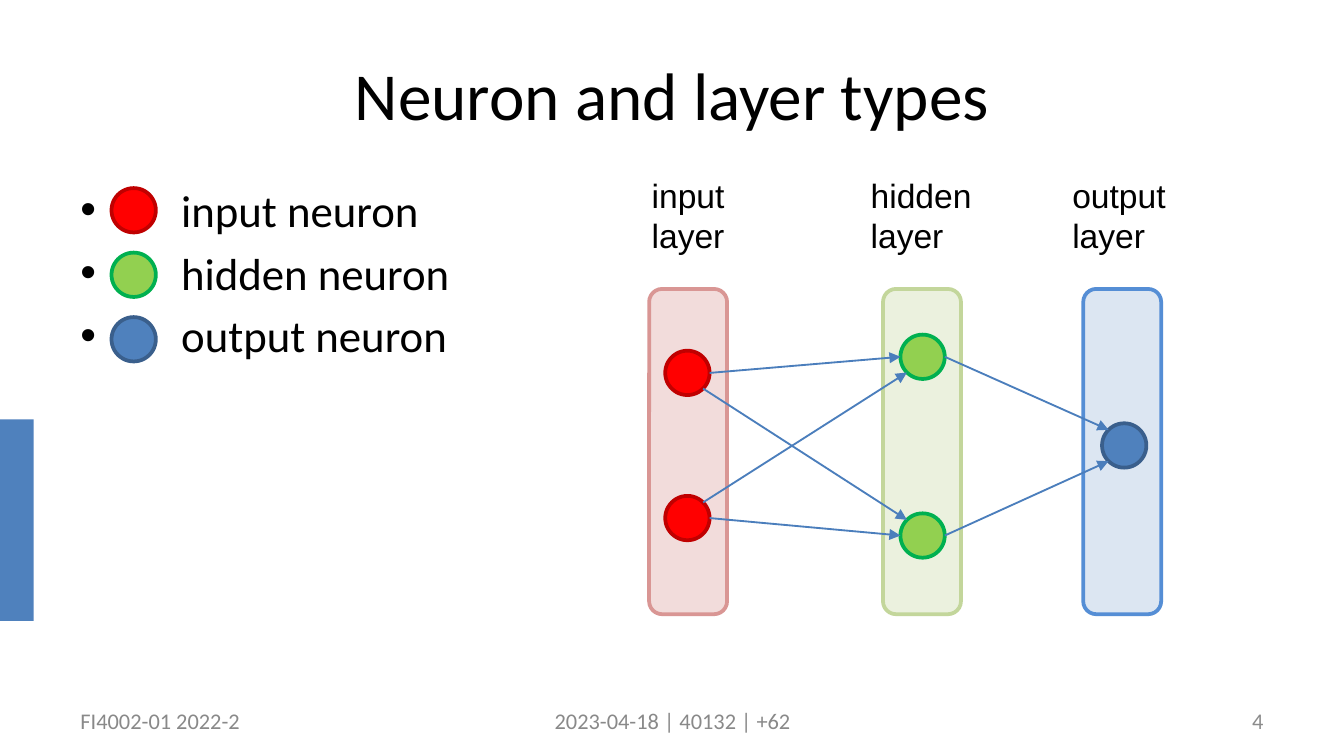
"""Build a slide that shows the neuron and layer types of a small network."""
import math
from dataclasses import dataclass

import lxml.etree
import pptx
import pptx.dml.color
import pptx.enum.shapes
import pptx.enum.text
import pptx.oxml.ns
import pptx.util

Inches = pptx.util.Inches
Shape = pptx.enum.shapes.MSO_SHAPE
Align = pptx.enum.text.PP_ALIGN
Anchor = pptx.enum.text.MSO_ANCHOR
WIDTH = 10
HEIGHT = WIDTH * 9 / 16
SIZE = 0.33
BLACK, GRAY = "000000", "898989"


@dataclass
class Style:
    fill: str
    line: str


@dataclass
class Layer:
    label: str
    text_left: float
    text_width: float
    left: float
    style: Style


@dataclass
class Neuron:
    left: float
    top: float
    style: Style


@dataclass
class Link:
    start: Neuron
    leave: int
    end: Neuron
    enter: int


@dataclass
class Note:
    text: str
    box: tuple
    align: Align
    size: int = 12
    color: str = GRAY
    font: str = "Calibri"
    anchor: Anchor = Anchor.MIDDLE


RED = Style("FF0000", "C00000")
GREEN = Style("92D050", "00B050")
BLUE = Style("4F81BD", "3A5F8C")

LAYERS = [
    Layer("output layer", 7.88, 0.92, 8.06, Style("DCE6F2", "558ED5")),
    Layer("hidden layer", 6.38, 1, 6.57, Style("EBF1DE", "C3D69B")),
    Layer("input layer", 4.75, 0.75, 4.83, Style("F2DCDB", "D99694")),
]
LEGEND = {"input neuron": RED, "hidden neuron": GREEN, "output neuron": BLUE}
IN_TOP, IN_LOW = Neuron(4.95, 2.61, RED), Neuron(4.95, 3.69, RED)
HID_TOP, HID_LOW = Neuron(6.7, 2.49, GREEN), Neuron(6.7, 3.82, GREEN)
OUT = Neuron(8.2, 3.15, BLUE)
LINKS = [
    Link(IN_TOP, 0, HID_TOP, 180),
    Link(IN_TOP, 45, HID_LOW, 225),
    Link(IN_LOW, -45, HID_TOP, 135),
    Link(IN_LOW, 0, HID_LOW, 180),
    Link(HID_TOP, 0, OUT, 225),
    Link(HID_LOW, 0, OUT, 135),
]
NOTES = [
    Note("Neuron and layer types", (0.5, 0.23, 9, 0.94), Align.CENTER, 36, BLACK),
    Note("FI4002-01 2022-2", (0.5, 5.21, 2.58, 0.3), Align.LEFT),
    Note("2023-04-18 | 40132 | +62", (3.42, 5.21, 3.17, 0.3), Align.CENTER),
    Note("4", (7.17, 5.21, 2.33, 0.3), Align.RIGHT, color="8C8C8C"),
]


def paint(target, color: str) -> None:
    target.rgb = pptx.dml.color.RGBColor.from_string(color)


def add_tag(parent, tag: str, **attrs: str):
    return lxml.etree.SubElement(parent, pptx.oxml.ns.qn(tag), **attrs)


def draw_shape(slide, kind: Shape, box: tuple, style: Style) -> None:
    shape = slide.shapes.add_shape(kind, *map(Inches, box))
    shape.shadow.inherit = False
    shape.fill.solid()
    paint(shape.fill.fore_color, style.fill)
    if style.line:
        paint(shape.line.color, style.line)
        shape.line.width = pptx.util.Pt(2)
    else:
        shape.line.fill.background()


def draw_neuron(slide, neuron: Neuron) -> None:
    draw_shape(slide, Shape.OVAL, (neuron.left, neuron.top, SIZE, SIZE), neuron.style)


def get_port(neuron: Neuron, angle: int) -> tuple:
    turn, half = math.radians(angle), SIZE / 2
    return (Inches(neuron.left + half + half * math.cos(turn)),
            Inches(neuron.top + half + half * math.sin(turn)))


def draw_link(slide, link: Link) -> None:
    arrow = slide.shapes.add_connector(
        pptx.enum.shapes.MSO_CONNECTOR.STRAIGHT,
        *get_port(link.start, link.leave), *get_port(link.end, link.enter))
    paint(arrow.line.color, "4B7EBC")
    arrow.line.width = pptx.util.Pt(1)
    add_tag(arrow.line._get_or_add_ln(), "a:tailEnd", type="triangle")
    add_tag(arrow._element.spPr, "a:effectLst")


def set_font(para, size: int, color: str, name: str) -> None:
    for run in para.runs:
        run.font.size = pptx.util.Pt(size)
        run.font.name = name
        paint(run.font.color, color)


def draw_note(slide, note: Note) -> None:
    frame = slide.shapes.add_textbox(*map(Inches, note.box)).text_frame
    frame.word_wrap = True
    frame.vertical_anchor = note.anchor
    frame.text = note.text
    para = frame.paragraphs[0]
    para.alignment = note.align
    set_font(para, note.size, note.color, note.font)


def draw_list(slide, items: list) -> None:
    box = slide.shapes.add_textbox(*map(Inches, (0.5, 1.31, 9, 3.71)))
    frame = box.text_frame
    frame.word_wrap = True
    frame.text = "\n".join(items)
    for spot, para in enumerate(frame.paragraphs):
        props = para._p.get_or_add_pPr()
        props.set("marL", str(Inches(0.75)))
        props.set("indent", str(-Inches(0.75)))
        add_tag(props, "a:buFont", typeface="Arial")
        add_tag(props, "a:buChar", char="•")
        if spot:
            para.space_before = pptx.util.Pt(4.8)
        set_font(para, 24, BLACK, "Calibri")


def main() -> None:
    deck = pptx.Presentation()
    deck.slide_width, deck.slide_height = Inches(WIDTH), Inches(HEIGHT)
    slide = deck.slides.add_slide(deck.slide_layouts[6])
    draw_shape(slide, Shape.RECTANGLE, (0, 3.12, 0.25, 1.5), Style("4F81BD", ""))
    for layer in LAYERS:
        draw_shape(slide, Shape.ROUNDED_RECTANGLE, (layer.left, 2.15, 0.58, 2.42), layer.style)
        draw_note(slide, Note(layer.label, (layer.text_left, 1.25, layer.text_width, 0.71),
                              Align.LEFT, 18, BLACK, "Arial", Anchor.TOP))
    for note in NOTES:
        draw_note(slide, note)
    draw_list(slide, list(LEGEND))
    for row, style in enumerate(LEGEND.values()):
        draw_neuron(slide, Neuron(0.83, 1.4 + 0.48 * row, style))
    for neuron in (IN_TOP, IN_LOW, HID_TOP, HID_LOW, OUT):
        draw_neuron(slide, neuron)
    for link in LINKS:
        draw_link(slide, link)
    deck.save("out.pptx")


if __name__ == "__main__":
    main()
